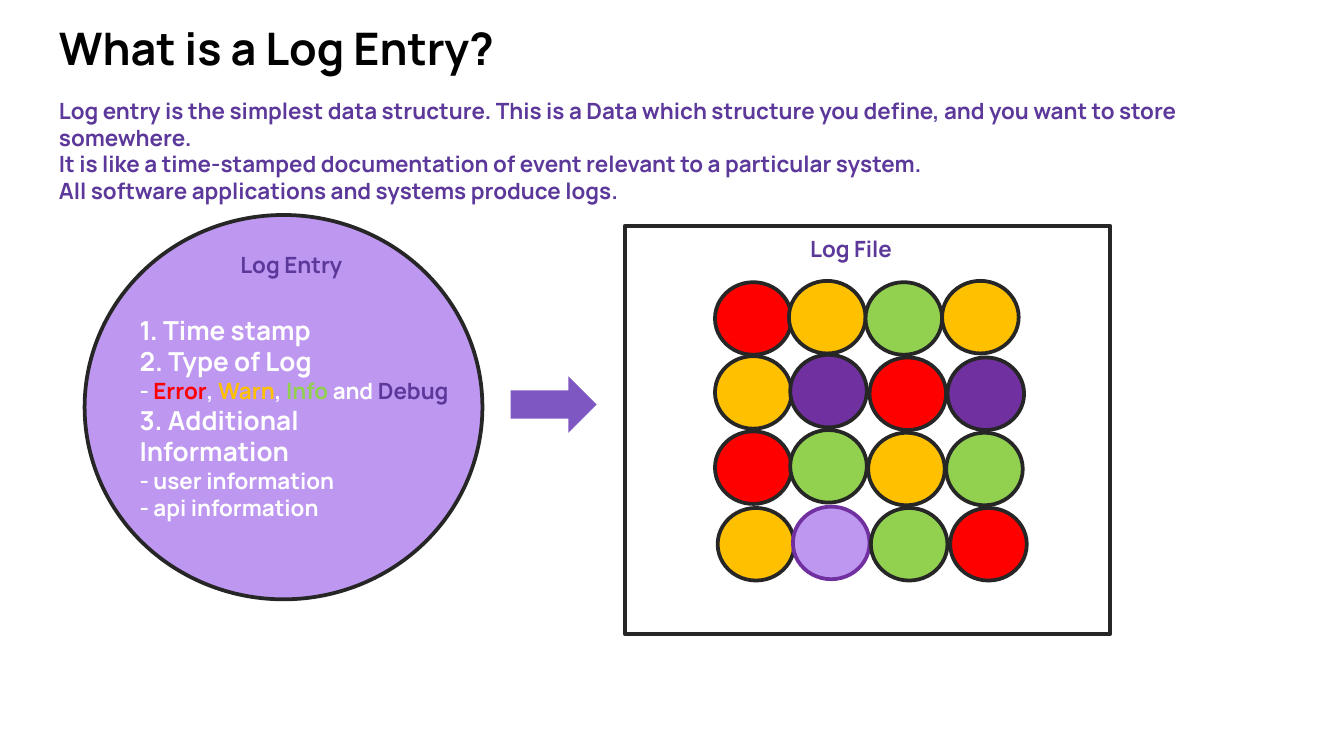
"""Build a slide that explains log entries and the log file that collects them."""
from pptx import Presentation
from pptx.dml.color import RGBColor
from pptx.enum.shapes import MSO_SHAPE
from pptx.util import Pt

PX = 4572
OVAL = MSO_SHAPE.OVAL
RECTANGLE = MSO_SHAPE.RECTANGLE
RIGHT_ARROW = MSO_SHAPE.RIGHT_ARROW
FONT = "Manrope"
BLACK, WHITE, INK = "000000", "FFFFFF", "262626"
INDIGO, LILAC, ARROW_VIOLET = "5C389B", "BE97F0", "7E57C2"
RED, AMBER, GREEN, PURPLE = "FF0000", "FFC000", "92D050", "7030A0"

deck = Presentation()
deck.slide_width, deck.slide_height = 2000 * PX, 1125 * PX
page = deck.slides.add_slide(deck.slide_layouts[6])
page.background.fill.solid()
page.background.fill.fore_color.rgb = RGBColor.from_string(WHITE)


def add_figure(kind, left, top, width, height, fill=None, line=None):
    figure = page.shapes.add_shape(kind, left * PX, top * PX, width * PX, height * PX)
    figure.shadow.inherit = False
    if fill:
        figure.fill.solid()
        figure.fill.fore_color.rgb = RGBColor.from_string(fill)
    else:
        figure.fill.background()
    if line:
        figure.line.color.rgb = RGBColor.from_string(line)
        figure.line.width = Pt(2)
    else:
        figure.line.fill.background()


def add_text(left, top, width, height, paragraphs):
    box = page.shapes.add_textbox(left * PX, top * PX, width * PX, height * PX)
    frame = box.text_frame
    frame.word_wrap = True
    frame.margin_left = frame.margin_right = 20 * PX
    frame.margin_top = frame.margin_bottom = 20 * PX
    for index, (size, runs) in enumerate(paragraphs):
        para = frame.add_paragraph() if index else frame.paragraphs[0]
        for text, color in runs:
            span = para.add_run()
            span.text = text
            span.font.name = FONT
            span.font.size = Pt(size)
            span.font.bold = True
            span.font.color.rgb = RGBColor.from_string(color)


introduction = [
    "Log entry is the simplest data structure. This is a Data which structure you define, "
    "and you want to store somewhere.",
    "It is like a time-stamped documentation of event relevant to a particular system.",
    "All software applications and systems produce logs.",
]
log_types = [
    ("- ", WHITE), ("Error", RED), (", ", WHITE), ("Warn", AMBER),
    (", ", WHITE), ("Info", GREEN), (" and ", WHITE), ("Debug", INDIGO),
]
entry_parts = [
    (14, [("1. Time stamp", WHITE)]),
    (14, [("2. Type of Log", WHITE)]),
    (12, log_types),
    (14, [("3. Additional Information", WHITE)]),
    (12, [("- user information", WHITE)]),
    (12, [("- api information", WHITE)]),
]
log_rows = [
    [(1064, 420, RED), (1174, 418, AMBER), (1288, 420, GREEN), (1402, 418, AMBER)],
    [(1064, 530, AMBER), (1176, 528, PURPLE), (1294, 532, RED), (1410, 532, PURPLE)],
    [(1064, 642, RED), (1176, 640, GREEN), (1292, 644, AMBER), (1408, 644, GREEN)],
    [(1068, 756, AMBER), (1180, 754, LILAC), (1296, 756, GREEN), (1414, 756, RED)],
]

add_text(68, 11, 1864, 136, [(24, [("What is a Log Entry?", BLACK)])])
add_text(68, 124, 1900, 136, [(12, [(sentence, INDIGO)]) for sentence in introduction])

add_figure(OVAL, 126, 320, 592, 572, LILAC, INK)
add_text(188, 448, 506, 380, entry_parts)
add_text(338, 354, 206, 84, [(12, [("Log Entry", INDIGO)])])

for row in log_rows:
    for left, top, color in row:
        outline = PURPLE if color == LILAC else INK
        add_figure(OVAL, left, top, 114, 108, color, outline)
add_figure(RECTANGLE, 930, 336, 722, 608, line=INK)
add_text(1186, 330, 206, 84, [(12, [("Log File", INDIGO)])])

add_figure(RIGHT_ARROW, 760, 560, 128, 84, ARROW_VIOLET)

deck.save("out.pptx")
